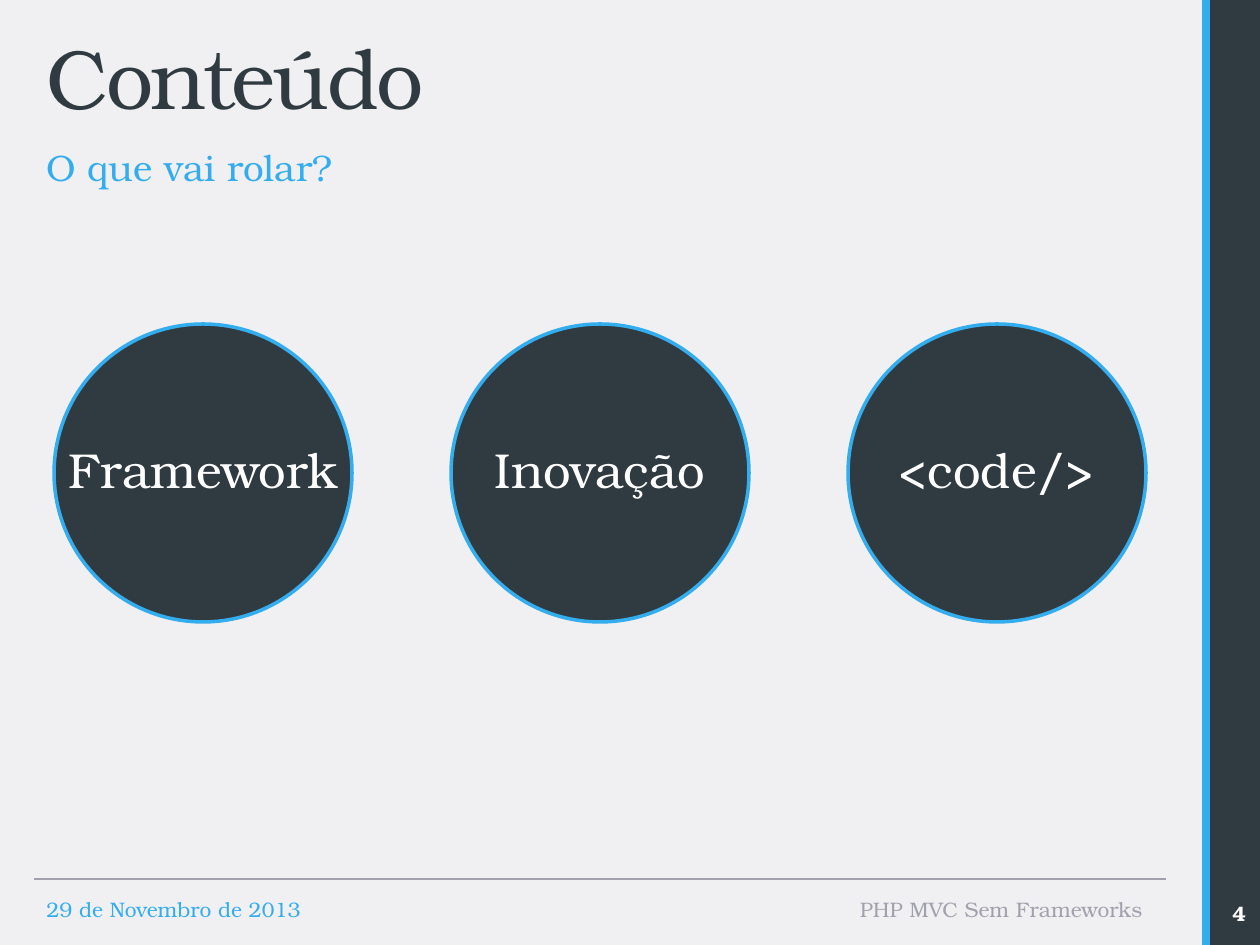
import pptx
import pptx.util
import pptx.dml.color
import pptx.enum.shapes
import pptx.enum.text
import pptx.oxml.ns
import lxml.etree

PX = 914400 / 126
COLORS = {"paper": "F0F0F2", "dark": "303B41", "blue": "34ADEF",
          "gray": "A1A1AD", "white": "FFFFFF"}
FONT = "TeX Gyre Bonum"
ALIGN = pptx.enum.text.PP_ALIGN
ANCHOR = pptx.enum.text.MSO_ANCHOR
SHAPES = pptx.enum.shapes.MSO_SHAPE


def px(*lengths):
    return [pptx.util.Emu(round(length * PX)) for length in lengths]


def write(box, text, size, color, align=ALIGN.LEFT, anchor=ANCHOR.TOP, bold=False):
    """Put one formatted line in a box and return its paragraph."""
    frame = box.text_frame
    frame.word_wrap = True
    frame.auto_size = pptx.enum.text.MSO_AUTO_SIZE.NONE
    frame.vertical_anchor = anchor
    paragraph = frame.paragraphs[0]
    paragraph.alignment = align
    run = paragraph.add_run()
    run.text = text
    run.font.name = FONT
    run.font.size = pptx.util.Pt(size)
    run.font.bold = bold
    run.font.color.rgb = pptx.dml.color.RGBColor.from_string(COLORS[color])
    return paragraph


deck = pptx.Presentation()
deck.slide_width, deck.slide_height = px(1260, 945)
slide = deck.slides.add_slide(deck.slide_layouts[1])
shapes = slide.shapes
slide.background.fill.solid()
slide.background.fill.fore_color.rgb = pptx.dml.color.RGBColor.from_string(COLORS["paper"])

# Title and subtitle
title, subtitle = shapes.title, slide.placeholders[1]
title.left, title.top, title.width, title.height = px(34, 26, 1111, 99)
heading = write(title, "Conteúdo", 48, "dark", anchor=ANCHOR.MIDDLE)
heading.runs[0].font._element.set("spc", "-150")

subtitle.left, subtitle.top, subtitle.width, subtitle.height = px(34, 125, 1111, 49)
question = write(subtitle, "O que vai rolar?", 21, "blue")
question.line_spacing = 1.3
question.space_before = pptx.util.Pt(4)
properties = question._p.get_or_add_pPr()
properties.set("marL", "0")
properties.set("indent", "0")
lxml.etree.SubElement(properties, pptx.oxml.ns.qn("a:buNone"))

# Side bar and topic circles
topics = ["Framework", "Inovação", "<code/>"]
topic_lefts = [54 + 397 * i for i in range(len(topics))]
panels = [(SHAPES.RECTANGLE, (1206, -14, 69, 973), 4.5)]
panels += [(SHAPES.OVAL, (left, 324, 298, 298), 2) for left in topic_lefts]
for kind, area, line_width in panels:
    panel = shapes.add_shape(kind, *px(*area))
    panel.shadow.inherit = False
    panel.fill.solid()
    panel.fill.fore_color.rgb = pptx.dml.color.RGBColor.from_string(COLORS["dark"])
    panel.line.color.rgb = pptx.dml.color.RGBColor.from_string(COLORS["blue"])
    panel.line.width = pptx.util.Pt(line_width)

for left, topic in zip(topic_lefts, topics):
    label = shapes.add_textbox(*px(left, 433, 298, 72))
    write(label, topic, 28, "white", align=ALIGN.CENTER)

# Footer
rule = shapes.add_connector(pptx.enum.shapes.MSO_CONNECTOR.STRAIGHT, *px(34, 879, 1166, 879))
rule.line.color.rgb = pptx.dml.color.RGBColor.from_string(COLORS["gray"])
rule.line.width = pptx.util.Pt(0.75)
lxml.etree.SubElement(rule._element.spPr, pptx.oxml.ns.qn("a:effectLst"))

date = shapes.add_textbox(*px(34, 890, 596, 40))
write(date, "29 de Novembro de 2013", 12, "blue")
talk = shapes.add_textbox(*px(640, 890, 515, 40))
write(talk, "PHP MVC Sem Frameworks", 12, "gray", align=ALIGN.RIGHT)
page_number = shapes.add_textbox(*px(1206, 888, 66, 50))
write(page_number, "4", 12, "white", align=ALIGN.CENTER, anchor=ANCHOR.MIDDLE, bold=True)

deck.save("out.pptx")
